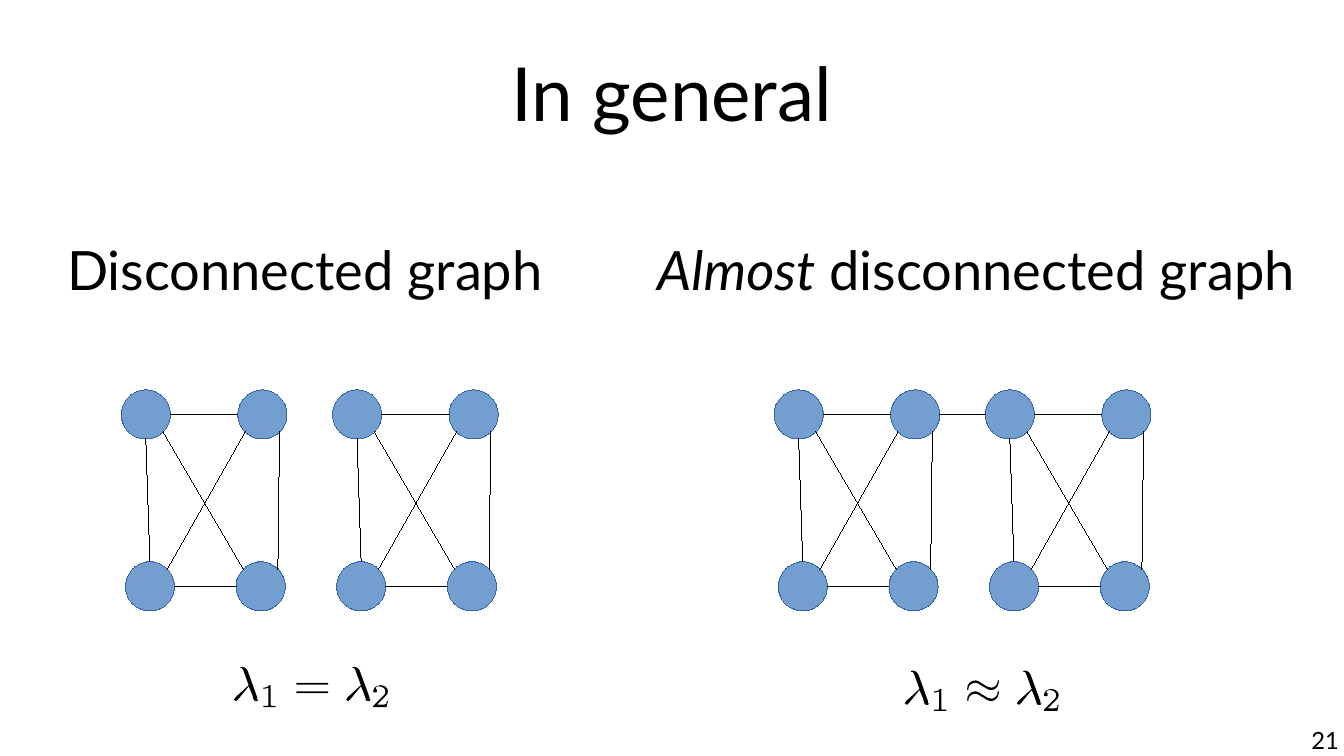
from dataclasses import dataclass

from lxml import etree
from pptx import Presentation
from pptx.dml.color import RGBColor
from pptx.enum.shapes import MSO_CONNECTOR, MSO_SHAPE
from pptx.enum.text import MSO_ANCHOR, MSO_AUTO_SIZE, PP_ALIGN
from pptx.oxml.ns import qn
from pptx.util import Pt

LEFT, CENTER, RIGHT = PP_ALIGN.LEFT, PP_ALIGN.CENTER, PP_ALIGN.RIGHT
TOP, MIDDLE = MSO_ANCHOR.TOP, MSO_ANCHOR.MIDDLE
NO_AUTOFIT = MSO_AUTO_SIZE.NONE
ELLIPSE, STRAIGHT = MSO_SHAPE.OVAL, MSO_CONNECTOR.STRAIGHT


@dataclass(frozen=True)
class Theme:
    font: str = "Lato"
    ink: RGBColor = RGBColor(0x00, 0x00, 0x00)
    paper: RGBColor = RGBColor(0xFF, 0xFF, 0xFF)
    node: RGBColor = RGBColor(0x72, 0x9F, 0xCF)
    outline: RGBColor = RGBColor(0x34, 0x65, 0xA4)
    title: int = 44
    heading: int = 32
    number: int = 14
    hairline: float = 0.01


THEME = Theme()

# Content: runs are (text, italic)
TITLE = [("In general", False)]
HEADINGS = [
    ([("Disconnected graph", False)], (39.6, 139.3, 348.5, 345)),
    ([("Almost", True), (" disconnected graph", False)], (388, 139.3, 389.5, 345)),
]
PAGE_NUMBER = [("21", False)]

# Graph layout: corner offsets inside one cluster, and sites as fractions of a node
NODE_SIZE = 29
FIRST_CLUSTER = (71.6, 230.2)
CLUSTER_STEP, GRAPH_STEP = 124.7, 385.4
CORNERS = {
    "top left": (0, 0),
    "top right": (68.8, 0),
    "bottom left": (2.4, 101.5),
    "bottom right": (67.8, 101.5),
}
SITES = {
    "N": (0.5, 0), "S": (0.5, 1), "W": (0, 0.5), "E": (1, 0.5),
    "NW": (0.15, 0.15), "NE": (0.85, 0.15), "SW": (0.15, 0.85), "SE": (0.85, 0.85),
}
EDGES = [
    ("top left", "E", "top right", "W"),
    ("bottom left", "E", "bottom right", "W"),
    ("top left", "S", "bottom left", "N"),
    ("top right", "SE", "bottom right", "NE"),
    ("top left", "SE", "bottom right", "NW"),
    ("top right", "SW", "bottom left", "NE"),
]

# Glyph outlines in units of 0.72 pt: two numbers are a point, six a cubic curve
GLYPH_UNIT = 0.72
LAMBDA = [
    (12, 16), (14, 20, 16, 26, 16, 27), (17, 28, 17, 28, 18, 28), (19, 28),
    (20, 27, 20, 27, 20, 27), (19, 27), (19, 25), (11, 3), (10, 1, 8, 0, 6, 0),
    (6, 0, 5, 0, 5, 1), (6, 1), (7, 1, 7, 2, 8, 4), (12, 15), (1, 25),
    (1, 26, 0, 26, 0, 27), (0, 27, 1, 28, 2, 28), (2, 28, 2, 27, 3, 27),
]
ONE = [
    (6, 1), (6, 0, 6, 0, 5, 0), (3, 2, 1, 2, 0, 2), (0, 3), (0, 3, 2, 3, 4, 2),
    (4, 16), (4, 17, 4, 17, 1, 17), (0, 17), (0, 18), (10, 18), (10, 17), (9, 17),
    (6, 17, 6, 17, 6, 16),
]
TWO = [
    (12, 13), (11, 13), (11, 15), (10, 16, 8, 16, 8, 16), (3, 16),
    (6, 13, 7, 12, 8, 11), (10, 9, 12, 8, 12, 5), (12, 2, 9, 0, 6, 0),
    (3, 0, 0, 2, 0, 5), (0, 6, 1, 6, 2, 6), (2, 6, 3, 6, 3, 5), (3, 4, 3, 3, 2, 3),
    (2, 1, 4, 1, 5, 1), (8, 1, 10, 3, 10, 5), (10, 8, 8, 9, 7, 10), (0, 17),
    (0, 18), (11, 18),
]
BAR = [(0, 0), (26, 0), (26, 1.5), (0, 1.5)]
WAVE = [
    (26, 1), (26, 0), (25, 0, 25, 0, 25, 1), (25, 4, 22, 6, 20, 6),
    (17, 6, 15, 4, 13, 3), (11, 2, 9, 0, 7, 0), (3, 0, 0, 3, 0, 7),
    (0, 7, 0, 8, 1, 8), (1, 7), (1, 3, 5, 2, 7, 2), (9, 2, 11, 4, 13, 5),
    (15, 6, 17, 8, 20, 8), (23, 8, 26, 5, 26, 1),
]
PANEL = [(0, 0), (130, 0), (130, 33), (0, 33)]
# Formulas: position, stroke of the relation sign, its top and the gap to its second stroke
FORMULAS = [
    ((136.8, 393.8), BAR, 13, 7),
    ((532.8, 396), WAVE, 8, 9),
]


def write_text(shape, box, runs, size, align=LEFT, anchor=TOP):
    shape.left, shape.top, shape.width, shape.height = map(Pt, box)
    frame = shape.text_frame
    frame.margin_left = frame.margin_top = frame.margin_right = frame.margin_bottom = 0
    frame.auto_size, frame.word_wrap = NO_AUTOFIT, True
    frame.vertical_anchor = anchor
    paragraph = frame.paragraphs[0]
    properties = paragraph._p.get_or_add_pPr()
    properties.set("marL", "0")
    properties.set("indent", "0")
    etree.SubElement(properties, qn("a:buNone"))
    paragraph.alignment = align
    paragraph.space_before = Pt(0)
    paragraph.font.name, paragraph.font.size = THEME.font, Pt(size)
    paragraph.font.color.rgb = THEME.ink
    for text, italic in runs:
        run = paragraph.add_run()
        run.text = text
        if italic:
            run.font.italic = True


def fill_shape(shape, color):
    shape.shadow.inherit = False
    shape.fill.solid()
    shape.fill.fore_color.rgb = color


def add_node(slide, x, y):
    node = slide.shapes.add_shape(ELLIPSE, Pt(x), Pt(y), Pt(NODE_SIZE), Pt(NODE_SIZE))
    fill_shape(node, THEME.node)
    node.line.color.rgb = THEME.outline
    node.line.width = Pt(THEME.hairline)


def site_point(node, site):
    return [Pt(start + NODE_SIZE * part) for start, part in zip(node, SITES[site])]


def add_edge(slide, start, start_site, end, end_site):
    edge = slide.shapes.add_connector(
        STRAIGHT, *site_point(start, start_site), *site_point(end, end_site))
    edge.line.color.rgb = THEME.ink
    edge.line.width = Pt(THEME.hairline)
    etree.SubElement(edge._element.spPr, qn("a:effectLst"))


def add_cluster(slide, x, y):
    nodes = {name: (x + dx, y + dy) for name, (dx, dy) in CORNERS.items()}
    for node in nodes.values():
        add_node(slide, *node)
    for start, start_site, end, end_site in EDGES:
        add_edge(slide, nodes[start], start_site, nodes[end], end_site)
    return nodes


def flatten(outline, steps=4):
    points = []
    for segment in outline:
        if len(segment) == 2:
            points.append(segment)
            continue
        controls = [points[-1], segment[:2], segment[2:4], segment[4:]]
        for step in range(1, steps + 1):
            t = step / steps
            weights = ((1 - t) ** 3, 3 * t * (1 - t) ** 2, 3 * t * t * (1 - t), t ** 3)
            points.append(tuple(
                sum(w * p[axis] for w, p in zip(weights, controls)) for axis in (0, 1)))
    return points


def add_outline(slide, origin, offset, outline, color, stroke_gaps=(0,)):
    builder = None
    for gap in stroke_gaps:
        # Tenths of a point keep the curves smooth
        start, *others = [((x + offset[0]) * GLYPH_UNIT * 10,
                           (y + offset[1] + gap) * GLYPH_UNIT * 10)
                          for x, y in flatten(outline)]
        if builder is None:
            builder = slide.shapes.build_freeform(*start, scale=Pt(0.1))
        else:
            builder.move_to(*start)
        builder.add_line_segments(others, close=True)
    shape = builder.convert_to_shape(*map(Pt, origin))
    fill_shape(shape, color)
    shape.line.fill.background()


def main():
    presentation = Presentation()
    presentation.slide_width, presentation.slide_height = Pt(793.44), Pt(446.4)
    slide = presentation.slides.add_slide(presentation.slide_layouts[3])

    # Title and headings
    title, *bodies = slide.placeholders
    write_text(title, (39.6, 0.7, 714.2, 107.3), TITLE, THEME.title, CENTER, MIDDLE)
    for body, (runs, box) in zip(bodies, HEADINGS):
        write_text(body, box, runs, THEME.heading)

    # Two graphs of two clusters each
    x, y = FIRST_CLUSTER
    for graph in range(2):
        left = x + graph * GRAPH_STEP
        first, second = [add_cluster(slide, left + i * CLUSTER_STEP, y) for i in range(2)]
    # The bridge that almost disconnects the last graph
    add_edge(slide, first["top right"], "E", second["top left"], "W")

    # Eigenvalue formulas
    for origin, stroke, top, gap in FORMULAS:
        add_outline(slide, origin, (0, 0), PANEL, THEME.paper)
        for left, digit_left, digit in ((2, 26, ONE), (94, 116, TWO)):
            add_outline(slide, origin, (left, 0), LAMBDA, THEME.ink)
            add_outline(slide, origin, (digit_left, 15), digit, THEME.ink)
        add_outline(slide, origin, (53, top), stroke, THEME.ink, (0, gap))

    # Page number
    box = (605.5, 428.4, 185, 18)
    write_text(slide.shapes.add_textbox(*map(Pt, box)), box, PAGE_NUMBER, THEME.number, RIGHT)

    presentation.save("out.pptx")


if __name__ == "__main__":
    main()
